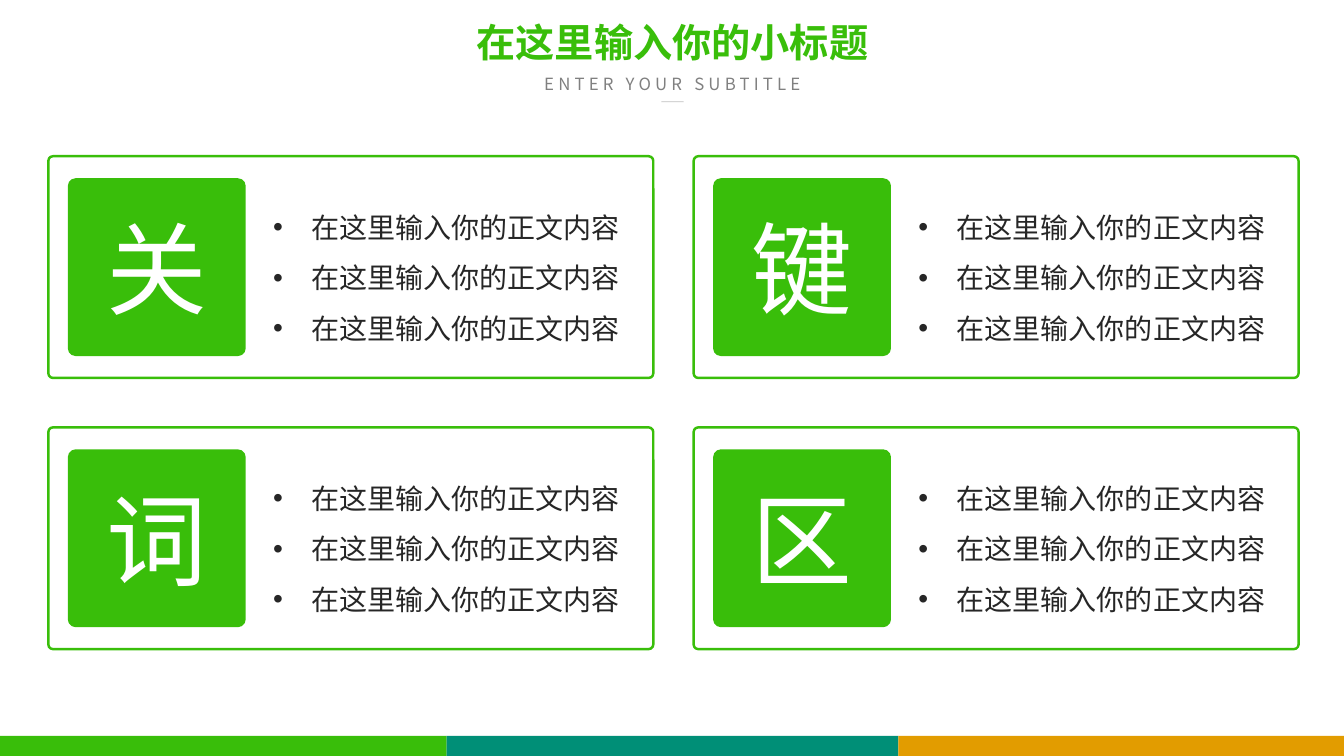
from lxml import etree
from pptx import Presentation
from pptx.dml.color import RGBColor
from pptx.enum import shapes, text
from pptx.oxml.ns import qn
from pptx import util as u

GREEN, TEAL, ORANGE = "39BE0A", "008F77", "E29C00"
GREY, INK, WHITE = "808080", "262626", "FFFFFF"
HEADING_FONT, BODY_FONT = "Noto Sans CJK SC", "Karla"
BODY_LINE = "在这里输入你的正文内容"


def colour(value):
    return RGBColor.from_string(value)


def place(left, top, width, height):
    return [u.Inches(n) for n in (left, top, width, height)]


def style(para, size, name, fill, bold=False, spacing=0):
    """Set one font for Latin and East Asian text alike."""
    font = para.font
    font.size, font.name, font.bold = u.Pt(size), name, bold
    font.color.rgb = colour(fill)
    properties = para._p.get_or_add_pPr().find(qn("a:defRPr"))
    properties.find(qn("a:latin")).addnext(
        properties.makeelement(qn("a:ea"), {"typeface": name}))
    if spacing:
        properties.set("spc", str(spacing * 100))


def add_bullet(para, indent):
    properties = para._p.get_or_add_pPr()
    properties.set("marL", str(u.Inches(indent)))
    properties.set("indent", str(u.Inches(-indent)))
    etree.SubElement(properties, qn("a:buFont"), typeface="Arial")
    etree.SubElement(properties, qn("a:buChar"), char="•")


def add_block(parts, kind, box, fill=None, line=None, weight=1, radius=None):
    block = parts.add_shape(kind, *place(*box))
    block.shadow.inherit = False
    if radius is not None:
        block.adjustments[0] = radius
    if fill:
        block.fill.solid()
        block.fill.fore_color.rgb = colour(fill)
    else:
        block.fill.background()
    if line:
        block.line.color.rgb = colour(line)
        block.line.width = u.Pt(weight)
    else:
        block.line.fill.background()
    return block


def add_header(page, left, top, width):
    # Title
    title = page.shapes.title
    title.left, title.top, title.width, title.height = place(left, top, width, 0.53)
    frame = title.text_frame
    frame.text = "在这里输入你的小标题"
    frame.word_wrap = True
    frame.auto_size = text.MSO_AUTO_SIZE.NONE
    frame.vertical_anchor = text.MSO_ANCHOR.TOP
    para = frame.paragraphs[0]
    para.alignment = text.PP_ALIGN.CENTER
    para.line_spacing = 0.9
    para.space_before = u.Pt(0)
    style(para, 28, HEADING_FONT, GREEN, bold=True)

    # Subtitle
    subtitle = page.shapes.add_textbox(*place(left + 0.12, top + 0.5, width - 0.24, 0.3))
    subtitle.text_frame.word_wrap = True
    para = subtitle.text_frame.paragraphs[0]
    para.text = "ENTER YOUR SUBTITLE"
    para.alignment = text.PP_ALIGN.CENTER
    style(para, 12, HEADING_FONT, GREY, spacing=3)

    # Short rule, half transparent
    middle, rule_top = left + width / 2, u.Inches(top + 0.83)
    rule = page.shapes.add_connector(
        shapes.MSO_CONNECTOR.STRAIGHT,
        u.Inches(middle - 0.11), rule_top, u.Inches(middle + 0.11), rule_top)
    rule.line.color.rgb = colour(GREY)
    rule.line.width = u.Pt(0.5)
    properties = rule._element.spPr
    etree.SubElement(properties.find(".//" + qn("a:srgbClr")), qn("a:alpha"), val="50000")
    etree.SubElement(properties, qn("a:effectLst"))


def add_card(page, left, top, width, height, keyword):
    parts = page.shapes.add_group_shape().shapes
    rounded = shapes.MSO_SHAPE.ROUNDED_RECTANGLE
    add_block(parts, rounded, (left, top, width, height),
              line=GREEN, weight=1.75, radius=0.021)

    # Keyword tile
    side = 1.75
    tile = add_block(parts, rounded, (left + 0.2, top + (height - side) / 2, side, side),
                     fill=GREEN, line=GREEN, radius=0.04)
    tile.text_frame.vertical_anchor = text.MSO_ANCHOR.MIDDLE
    para = tile.text_frame.paragraphs[0]
    para.text = keyword
    para.alignment = text.PP_ALIGN.CENTER
    style(para, 72, BODY_FONT, WHITE)

    # Bulleted text
    body = parts.add_textbox(*place(left + 2.13, top + 0.32, 3.91, 1.56))
    frame = body.text_frame
    frame.word_wrap = True
    frame.text = "\n".join([BODY_LINE] * 3)
    for para in frame.paragraphs:
        para.line_spacing = 1.5
        add_bullet(para, 0.38)
        style(para, 20, BODY_FONT, INK)


def add_cards(page, left, top):
    width, height, step_x, step_y = 6, 2.2, 6.4, 2.69
    for index, keyword in enumerate("关键词区"):
        row, column = divmod(index, 2)
        add_card(page, left + column * step_x, top + row * step_y, width, height, keyword)


def add_footer(page, left, top, height):
    for fill, width in ((GREEN, 4.43), (TEAL, 4.48), (ORANGE, 4.43)):
        add_block(page.shapes, shapes.MSO_SHAPE.RECTANGLE,
                  (left, top, width, height), fill=fill)
        left += width


def main():
    deck = Presentation()
    deck.slide_width, deck.slide_height = u.Inches(13.33), u.Inches(7.5)
    page = deck.slides.add_slide(deck.slide_layouts[5])
    add_header(page, 4.31, 0.18, 4.72)
    add_cards(page, 0.48, 1.55)
    add_footer(page, 0, 7.3, 0.2)
    deck.save("out.pptx")


if __name__ == "__main__":
    main()
